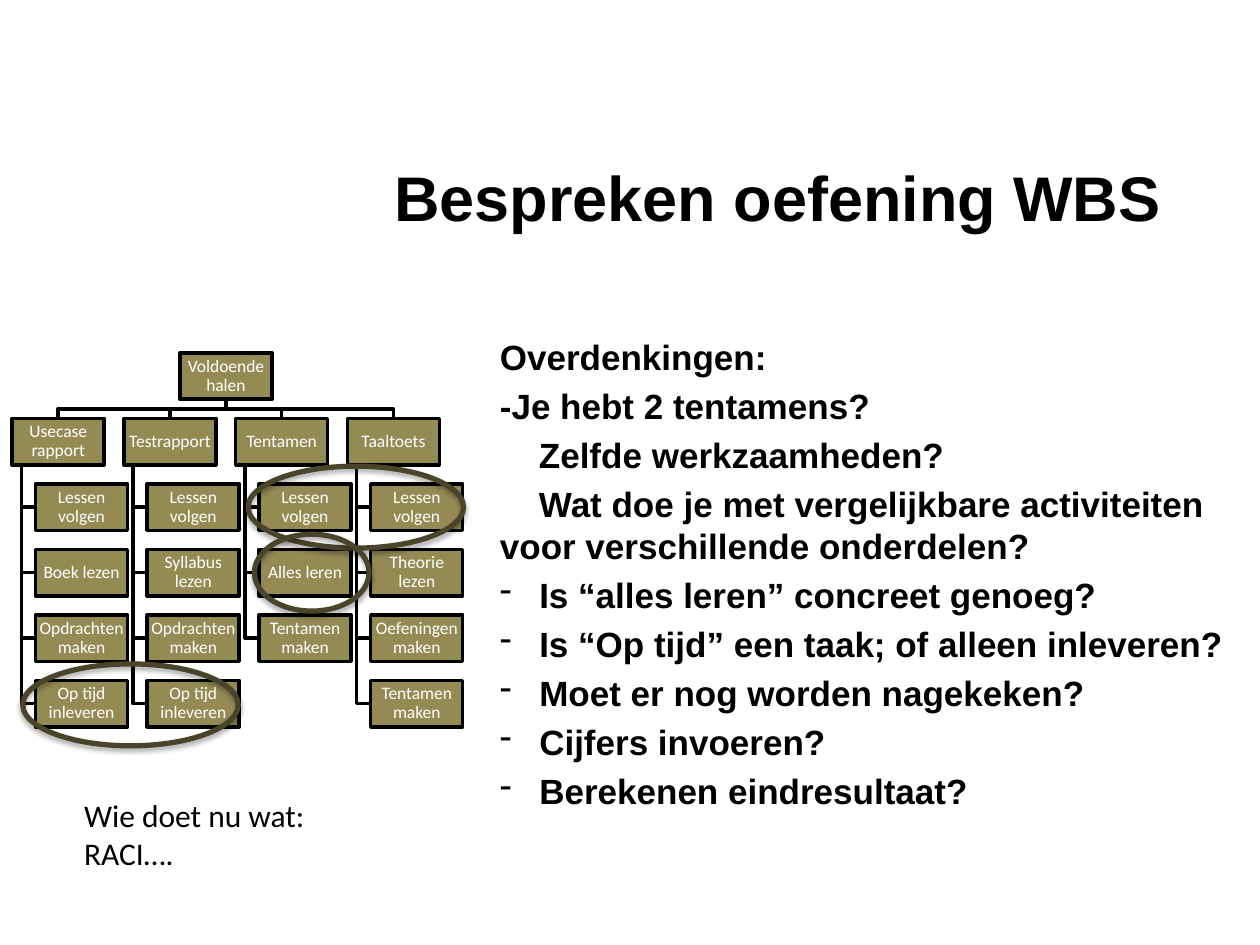
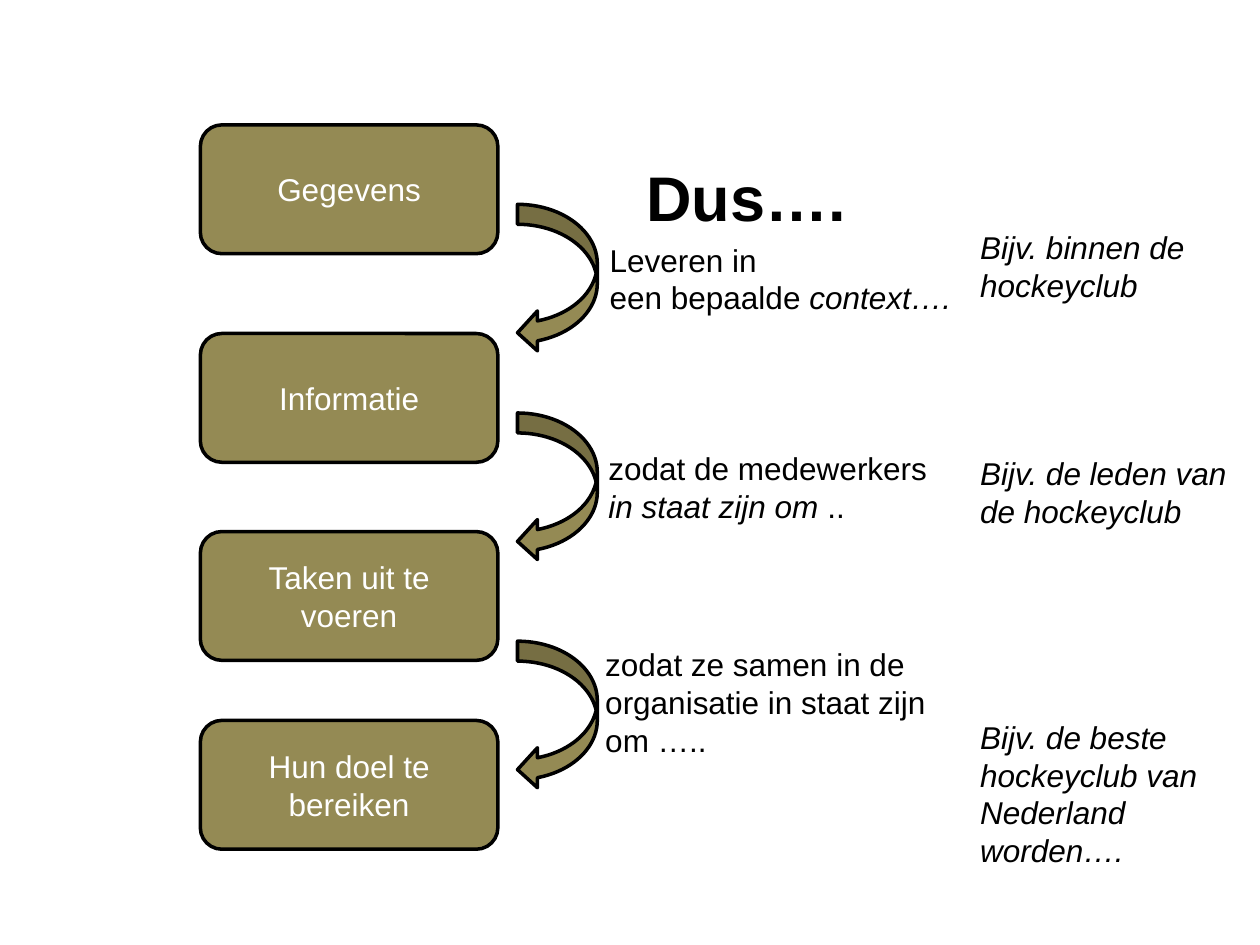
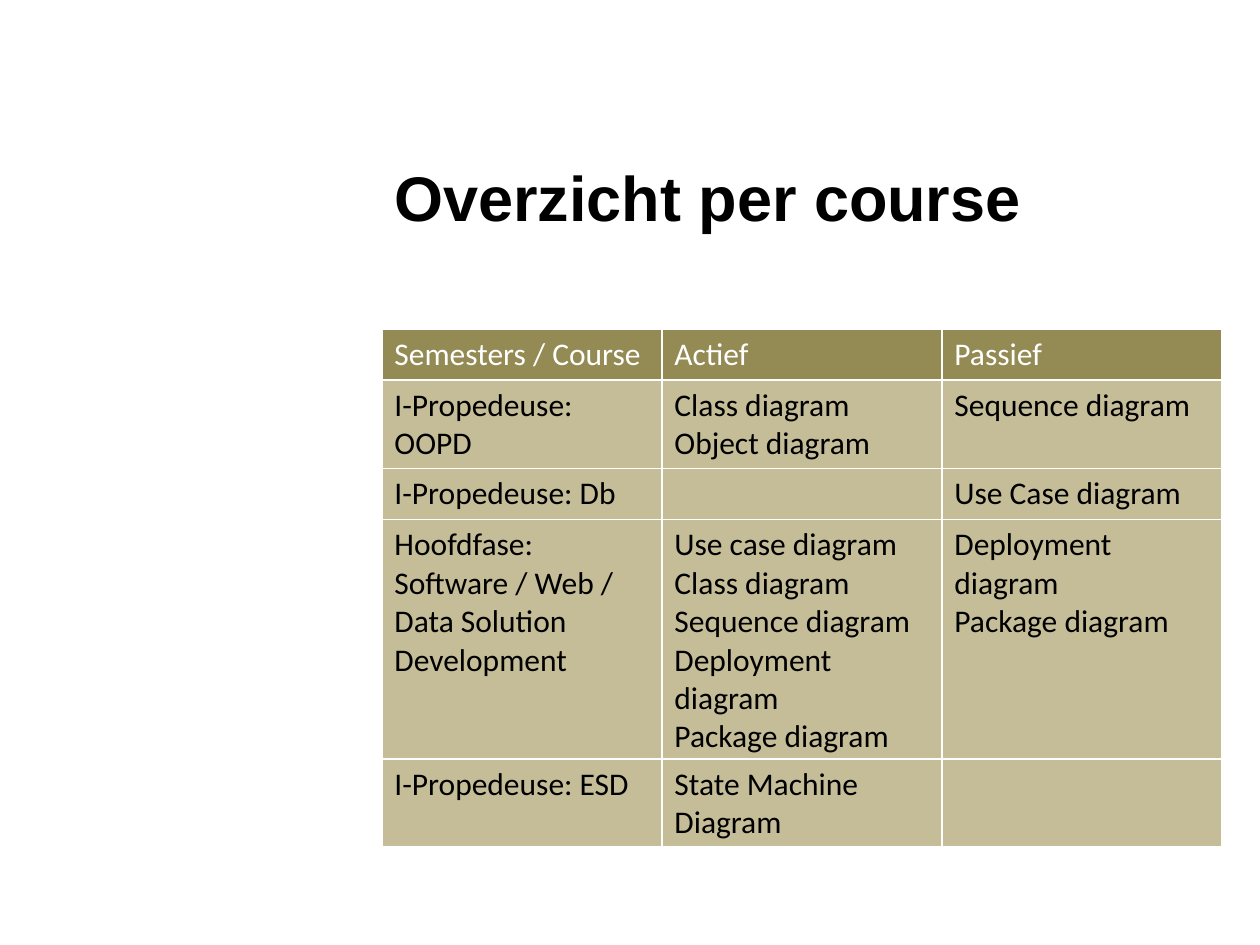
from lxml.etree import SubElement
from pptx import Presentation
from pptx.dml.color import RGBColor as RGB
from pptx.enum.shapes import MSO_SHAPE as SHAPE
from pptx.enum.text import MSO_ANCHOR as ANCHOR, PP_ALIGN as ALIGN
from pptx.oxml.ns import qn
from pptx.util import Pt

COLORS = {"olive": "948A54", "sand": "C4BD97", "ring": "4A452A",
          "black": "000000", "white": "FFFFFF"}
C = {name: RGB.from_string(value) for name, value in COLORS.items()}


def write(tf, text, size=18, font="Arial", color="black", bold=False, align=ALIGN.LEFT):
    """Fill a text frame, one paragraph a line; parts between underscores are italic."""
    tf.word_wrap = True
    for i, line in enumerate(text.split("\n")):
        p = tf.paragraphs[0] if i == 0 else tf.add_paragraph()
        p.alignment = align
        for j, part in enumerate(line.split("_")):
            if part:
                r = p.add_run()
                r.text = part
                r.font.size, r.font.name = Pt(size), font
                r.font.bold, r.font.italic = bold, j % 2 == 1
                r.font.color.rgb = C[color]
    return tf


def add_box(slide, kind, left, top, width, height, fill="olive", line="black", weight=2):
    sp = slide.shapes.add_shape(kind, Pt(left), Pt(top), Pt(width), Pt(height))
    if fill:
        sp.fill.solid()
        sp.fill.fore_color.rgb = C[fill]
    else:
        sp.fill.background()
    sp.line.color.rgb = C[line]
    sp.line.width = Pt(weight)
    sp.shadow.inherit = False
    return sp


prs = Presentation()
prs.slide_width, prs.slide_height = Pt(720), Pt(540)

# Slides and titles
slides = []
for title, indent in [("Bespreken oefening WBS", 0), ("Dus….", 144), ("Overzicht per course", 0)]:
    s = prs.slides.add_slide(prs.slide_layouts[6])
    tb = s.shapes.add_textbox(Pt(218.2), Pt(86.4), Pt(480), Pt(51))
    tf = write(tb.text_frame, title, 36, bold=True)
    tf.vertical_anchor = ANCHOR.MIDDLE
    tf.paragraphs[0]._p.get_or_add_pPr().set("indent", str(Pt(indent)))
    slides.append(s)
wbs, chain, overview = slides

# Slide 1: considerations
tb = wbs.shapes.add_textbox(Pt(278.6), Pt(188), Pt(434.2), Pt(311))
tf = write(tb.text_frame, """Overdenkingen:
-Je hebt 2 tentamens?
Zelfde werkzaamheden?
Wat doe je met vergelijkbare activiteiten voor verschillende onderdelen?
Is “alles leren” concreet genoeg?
Is “Op tijd” een taak; of alleen inleveren?
Moet er nog worden nagekeken?
Cijfers invoeren?
Berekenen eindresultaat?""", 20, bold=True)
for i, p in enumerate(tf.paragraphs):
    p.space_before = Pt(4)
    pPr = p._p.get_or_add_pPr()
    if i in (2, 3):
        pPr.set("indent", str(Pt(22.3)))
    elif i > 3:
        pPr.set("marL", str(Pt(22.5)))
        pPr.set("indent", str(Pt(-22.5)))
        SubElement(pPr, qn("a:buChar"), char="-")

tb = wbs.shapes.add_textbox(Pt(41), Pt(451.4), Pt(150), Pt(51))
write(tb.text_frame, "Wie doet nu wat:\nRACI….", font="Calibri")

# Slide 1: work breakdown tree
BOX_W, BOX_H = 52.6, 26.6
COL_X, COL_STEP = 7, 63.85
ROOT_X, ROOT_Y, ROW_STEP = 102.8, 201.6, 37.44
CHILD_INDENT, SPINE_INDENT = 13.3, 5.3
branches = [
    ("Usecase rapport", ["Lessen volgen", "Boek lezen", "Opdrachten maken", "Op tijd inleveren"]),
    ("Testrapport", ["Lessen volgen", "Syllabus lezen", "Opdrachten maken", "Op tijd inleveren"]),
    ("Tentamen", ["Lessen volgen", "Alles leren", "Tentamen maken"]),
    ("Taaltoets", ["Lessen volgen", "Theorie lezen", "Oefeningen maken", "Tentamen maken"]),
]
nodes, elbows = [("Voldoende halen", ROOT_X, ROOT_Y)], []
root_mid, root_bottom = ROOT_X + BOX_W / 2, ROOT_Y + BOX_H
branch_y = ROOT_Y + ROW_STEP
bus_y = (root_bottom + branch_y) / 2
for col, (branch, tasks) in enumerate(branches):
    x = COL_X + col * COL_STEP
    mid, spine = x + BOX_W / 2, x + SPINE_INDENT
    nodes.append((branch, x, branch_y))
    elbows.append([(root_mid, root_bottom), (root_mid, bus_y), (mid, bus_y), (mid, branch_y)])
    for row, task in enumerate(tasks, 1):
        y = branch_y + row * ROW_STEP
        nodes.append((task, x + CHILD_INDENT, y))
        elbows.append([(spine, branch_y + BOX_H), (spine, y + BOX_H / 2),
                       (x + CHILD_INDENT, y + BOX_H / 2)])

for points in elbows:
    start, *rest = [(Pt(x), Pt(y)) for x, y in points]
    builder = wbs.shapes.build_freeform(*start)
    builder.add_line_segments(rest, close=False)
    sp = builder.convert_to_shape()
    sp.fill.background()
    sp.line.color.rgb = C["black"]
    sp.line.width = Pt(2)
    sp.shadow.inherit = False

for text, x, y in nodes:
    tf = add_box(wbs, SHAPE.RECTANGLE, x, y, BOX_W, BOX_H).text_frame
    tf.margin_left = tf.margin_right = tf.margin_top = tf.margin_bottom = Pt(0.5)
    tf.vertical_anchor = ANCHOR.MIDDLE
    write(tf, text, 10, "Calibri", "white", align=ALIGN.CENTER)
    tf.paragraphs[0].line_spacing = 0.9

# Slide 1: rings around the doubtful tasks
for ring in [(141.8, 266.4, 123.1, 46.8), (145.4, 305.3, 65.5, 43.9), (13, 379.4, 123.1, 46.8)]:
    sp = add_box(wbs, SHAPE.OVAL, *ring, fill=None, line="ring", weight=3)
    effects = sp._element.spPr.find(qn("a:effectLst"))
    shadow = SubElement(effects, qn("a:outerShdw"), blurRad=str(Pt(3.1)), dist=str(Pt(1.8)),
                        dir="5400000", rotWithShape="0")
    tint = SubElement(shadow, qn("a:srgbClr"), val=COLORS["black"])
    SubElement(tint, qn("a:alpha"), val="35000")

# Slide 2: chain from data to goal
for text, top in [("Gegevens", 71.4), ("Informatie", 190.6),
                  ("Taken uit te voeren", 303.8), ("Hun doel te bereiken", 411.7)]:
    tf = add_box(chain, SHAPE.ROUNDED_RECTANGLE, 114.5, top, 170, 73.6).text_frame
    tf.vertical_anchor = ANCHOR.MIDDLE
    write(tf, text, color="white", align=ALIGN.CENTER)
for top in (116.8, 236, 366.4):
    add_box(chain, SHAPE.CURVED_LEFT_ARROW, 295.7, top, 45.6, 84.8)

for left, top, width, height, text in [
        (341.3, 133.9, 212, 51, "Leveren in\neen bepaalde _context…._"),
        (340.6, 253.2, 217.4, 51, "zodat de medewerkers\n_in staat zijn om _.."),
        (338.8, 365.2, 216, 72.7, "zodat ze samen in de\norganisatie in staat zijn om …..")]:
    tb = chain.shapes.add_textbox(Pt(left), Pt(top), Pt(width), Pt(height))
    write(tb.text_frame, text)

tb = chain.shapes.add_textbox(Pt(553), Pt(126.7), Pt(158.4), Pt(378))
tf = write(tb.text_frame, "_Bijv. binnen de hockeyclub_\n_Bijv. de leden van de hockeyclub_\n"
                          "_Bijv. de beste hockeyclub van Nederland worden…._")
for p, gap in zip(tf.paragraphs, (0, 86, 107.5)):
    p.space_before = Pt(gap)

# Slide 3: diagrams per course
rows = [
    ("Semesters / Course", "Actief", "Passief"),
    ("I-Propedeuse: OOPD", "Class diagram\nObject diagram", "Sequence diagram"),
    ("I-Propedeuse: Db", "", "Use Case diagram"),
    ("Hoofdfase: Software / Web / Data Solution Development",
     "Use case diagram\nClass diagram\nSequence diagram\nDeployment diagram\nPackage diagram",
     "Deployment diagram\nPackage diagram"),
    ("I-Propedeuse: ESD", "State Machine Diagram", ""),
]
table = overview.shapes.add_table(len(rows), 3, Pt(218.2), Pt(188), Pt(480), Pt(146)).table
for i, row in enumerate(rows):
    table.rows[i].height = Pt(29.2)
    for j, text in enumerate(row):
        cell = table.cell(i, j)
        write(cell.text_frame, text, font="Calibri", color="black" if i else "white")
        tcPr = cell._tc.get_or_add_tcPr()
        for side in ("lnL", "lnR", "lnT", "lnB"):
            ln = SubElement(tcPr, qn(f"a:{side}"), w=str(Pt(1)))
            SubElement(SubElement(ln, qn("a:solidFill")), qn("a:srgbClr"), val=COLORS["white"])
        cell.fill.solid()
        cell.fill.fore_color.rgb = C["sand" if i else "olive"]

prs.save("out.pptx")
